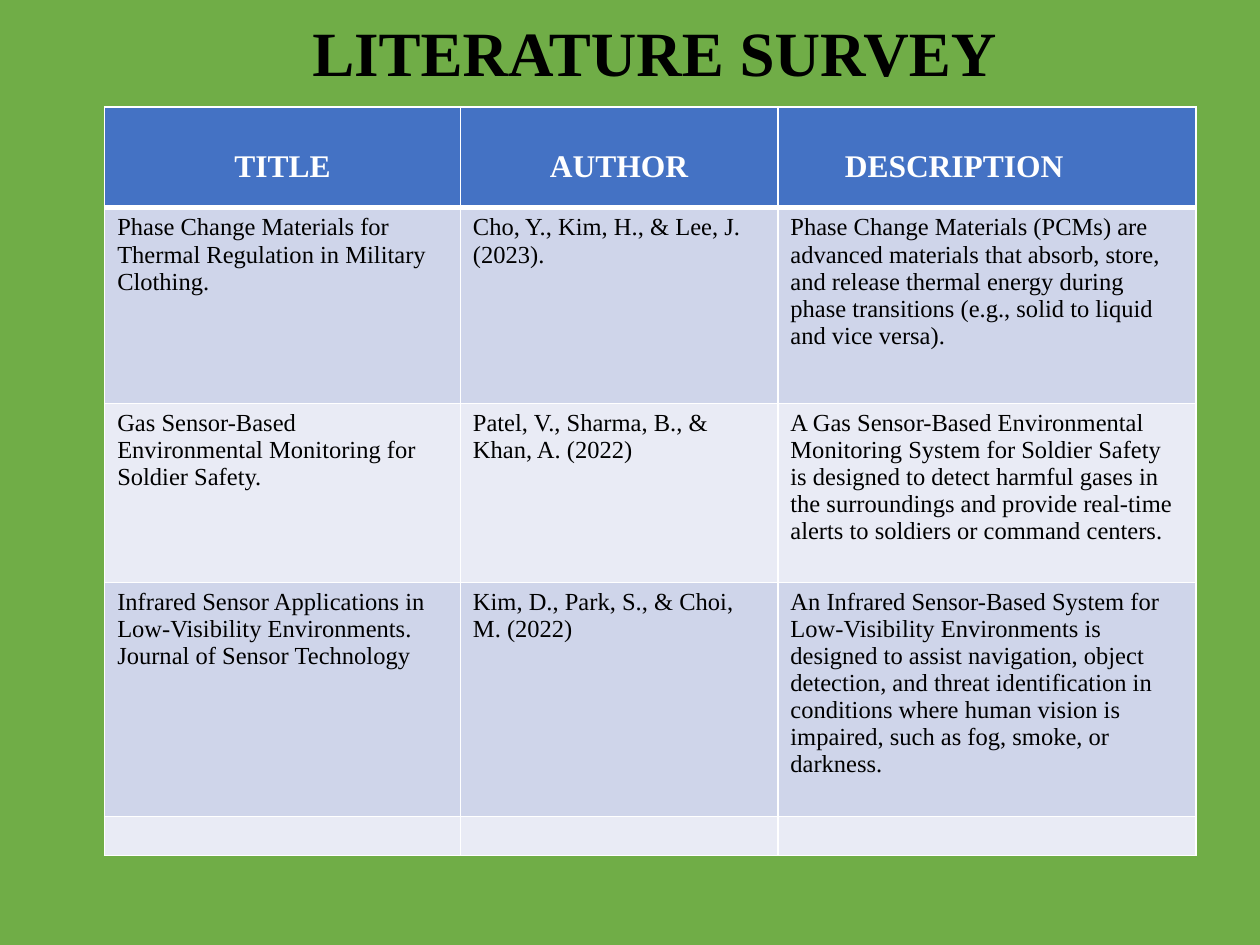
from typing import NamedTuple

from lxml import etree
from pptx import Presentation
from pptx.dml.color import RGBColor
from pptx.enum.text import MSO_ANCHOR, PP_ALIGN
from pptx.oxml.ns import qn
from pptx.util import Cm, Pt

CENTER, LEFT = PP_ALIGN.CENTER, PP_ALIGN.LEFT
MIDDLE = MSO_ANCHOR.MIDDLE
FONT = "Times New Roman"
GREEN, BLUE, BLACK, WHITE = "70AD47", "4472C4", "000000", "FFFFFF"
BANDS = ("CFD5EA", "E9EBF5")
COL_WIDTHS = (7.17, 6.4, 8.43)
ROW_HEIGHTS = (2.03, 3.94, 3.61, 4.72, 0.79)


class Heading(NamedTuple):
    text: str
    align: PP_ALIGN
    indent: float = 0.25


class Paper(NamedTuple):
    title: str
    author: str
    description: str


HEADINGS = (
    Heading("TITLE", CENTER),
    Heading("AUTHOR", CENTER),
    Heading("DESCRIPTION", LEFT, 1.35),
)
PAPERS = (
    Paper("Phase Change Materials for Thermal Regulation in Military Clothing.",
          "Cho, Y., Kim, H., & Lee, J. (2023).",
          "Phase Change Materials (PCMs) are advanced materials that absorb, store, "
          "and release thermal energy during phase transitions (e.g., solid to liquid "
          "and vice versa)."),
    Paper("Gas Sensor-Based Environmental Monitoring for Soldier Safety.",
          "Patel, V., Sharma, B., & Khan, A. (2022)",
          "A Gas Sensor-Based Environmental Monitoring System for Soldier Safety is "
          "designed to detect harmful gases in the surroundings and provide real-time "
          "alerts to soldiers or command centers."),
    Paper("Infrared Sensor Applications in Low-Visibility Environments. "
          "Journal of Sensor Technology",
          "Kim, D., Park, S., & Choi, M. (2022)",
          "An Infrared Sensor-Based System for Low-Visibility Environments is designed "
          "to assist navigation, object detection, and threat identification in "
          "conditions where human vision is impaired, such as fog, smoke, or darkness."),
)


def rgb(color: str) -> RGBColor:
    return RGBColor.from_string(color)


def add_text(tf, text: str, size: float, color: str, bold: bool = False,
             align: PP_ALIGN = LEFT) -> None:
    p = tf.paragraphs[0]
    p.alignment = align
    r = p.add_run()
    r.text = text
    r.font.name = FONT
    r.font.size = Pt(size)
    r.font.bold = bold
    r.font.color.rgb = rgb(color)


def style_cell(cell, fill: str, bottom: float = 1) -> None:
    """Set white borders and then the fill, in the order the schema asks for."""
    tc_pr = cell._tc.get_or_add_tcPr()
    for side, width in (("L", 1), ("R", 1), ("T", 1), ("B", bottom)):
        ln = etree.SubElement(tc_pr, qn(f"a:ln{side}"), w=str(Pt(width)))
        solid = etree.SubElement(ln, qn("a:solidFill"))
        etree.SubElement(solid, qn("a:srgbClr"), val=WHITE)
    cell.fill.solid()
    cell.fill.fore_color.rgb = rgb(fill)


def add_title(s, text: str) -> None:
    title = s.shapes.title
    title.left, title.top, title.width, title.height = Cm(2.49), Cm(0.13), Cm(21.41), Cm(1.8)
    tf = title.text_frame
    tf.vertical_anchor = MIDDLE
    add_text(tf, text, 36, BLACK, True, CENTER)


def add_survey_table(s) -> None:
    table = s.shapes.add_table(len(ROW_HEIGHTS), len(COL_WIDTHS), Cm(2.11), Cm(2.16),
                               Cm(sum(COL_WIDTHS)), Cm(sum(ROW_HEIGHTS))).table
    for col, width in zip(table.columns, COL_WIDTHS):
        col.width = Cm(width)
    for row, height in zip(table.rows, ROW_HEIGHTS):
        row.height = Cm(height)

    for c, heading in enumerate(HEADINGS):
        cell = table.cell(0, c)
        style_cell(cell, BLUE, bottom=3)
        cell.margin_top = Cm(0.86)
        cell.margin_left = Cm(heading.indent)
        add_text(cell.text_frame, heading.text, 18, WHITE, True, heading.align)

    for i in range(1, len(ROW_HEIGHTS)):
        for c in range(len(COL_WIDTHS)):
            cell = table.cell(i, c)
            style_cell(cell, BANDS[(i - 1) % 2])
            if i <= len(PAPERS):
                add_text(cell.text_frame, PAPERS[i - 1][c], 14, BLACK)
            else:
                cell.margin_top = cell.margin_bottom = 0


def main() -> None:
    prs = Presentation()
    prs.slide_width, prs.slide_height = Cm(25.4), Cm(19.05)
    s = prs.slides.add_slide(prs.slide_layouts[5])
    s.background.fill.solid()
    s.background.fill.fore_color.rgb = rgb(GREEN)
    add_title(s, "LITERATURE SURVEY")
    add_survey_table(s)
    prs.save("out.pptx")


if __name__ == "__main__":
    main()
